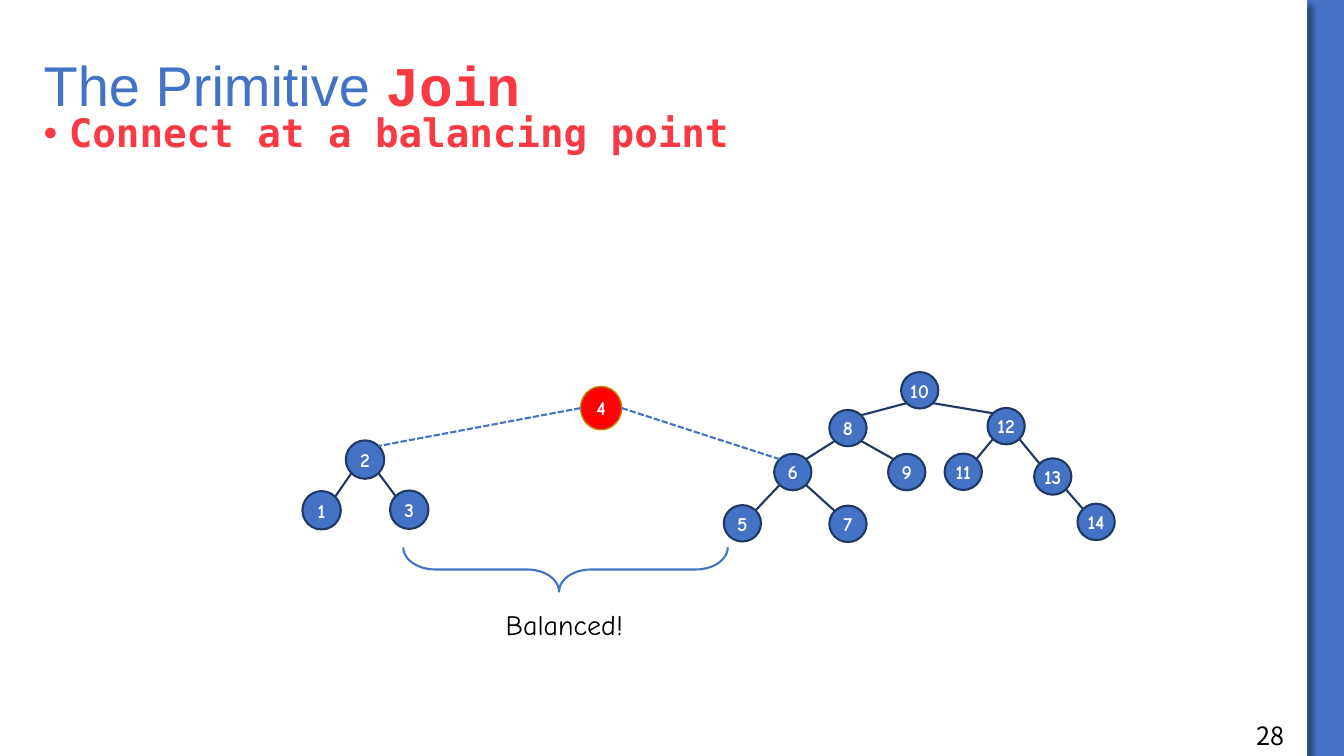
"""Build the slide on the Join primitive for balanced trees."""
from dataclasses import dataclass

from lxml import etree
from pptx import Presentation
from pptx.dml.color import RGBColor
from pptx.enum.dml import MSO_LINE
from pptx.enum.shapes import MSO_CONNECTOR, MSO_SHAPE
from pptx.enum.text import MSO_ANCHOR, MSO_AUTO_SIZE, PP_ALIGN
from pptx.oxml.ns import qn
from pptx.util import Pt

OVAL, RECT, BRACE = MSO_SHAPE.OVAL, MSO_SHAPE.RECTANGLE, MSO_SHAPE.RIGHT_BRACE
STRAIGHT, DASH = MSO_CONNECTOR.STRAIGHT, MSO_LINE.SQUARE_DOT
LEFT, CENTER = PP_ALIGN.LEFT, PP_ALIGN.CENTER
TOP, MIDDLE, FIXED = MSO_ANCHOR.TOP, MSO_ANCHOR.MIDDLE, MSO_AUTO_SIZE.NONE

BLUE = RGBColor(0x44, 0x72, 0xC4)
NAVY = RGBColor(0x20, 0x38, 0x64)
CORAL = RGBColor(0xF9, 0x39, 0x43)
RED = RGBColor(0xFF, 0, 0)
GOLD = RGBColor(0xBD, 0x8D, 0)
WHITE = RGBColor(0xFF, 0xFF, 0xFF)
BLACK = RGBColor(0, 0, 0)

HAND = "Comic Neue"
DIAG = 0.5 ** 0.5


@dataclass
class Node:
    key: int
    left: float
    top: float
    width: float = 26.6
    height: float = 26
    fill: RGBColor = BLUE
    line: RGBColor = NAVY
    weight: float = 1.5

    def spot(self, dx: float, dy: float) -> tuple[float, float]:
        return (self.left + self.width * (1 + dx) / 2,
                self.top + self.height * (1 + dy) / 2)


@dataclass
class Edge:
    upper: int
    lower: int
    new: bool = False


NODES = [
    Node(2, 247, 314.6, 27.4, 27.4), Node(3, 278.6, 350.4, 27.4, 27.4),
    Node(1, 216, 350.8, 27.4, 27.4), Node(10, 643.7, 265.8),
    Node(12, 705.4, 291.4), Node(8, 592.4, 292.8), Node(6, 553, 324.2),
    Node(7, 592.4, 361.2), Node(5, 517, 360.8), Node(13, 738.7, 327.4),
    Node(9, 634.4, 324.2), Node(4, 414.6, 276, 29.5, 31, RED, GOLD, 1),
    Node(11, 674.8, 324), Node(14, 769.7, 359.8),
]
EDGES = [
    Edge(2, 1), Edge(2, 3), Edge(10, 8), Edge(10, 12), Edge(8, 6), Edge(8, 9),
    Edge(6, 5), Edge(6, 7), Edge(12, 11), Edge(12, 13), Edge(13, 14),
    Edge(4, 2, True), Edge(4, 6, True),
]


def apply(target: object, look: dict) -> None:
    for name, value in look.items():
        setattr(target, name, value)


def place(shape: object, left: float, top: float, width: float, height: float) -> None:
    apply(shape, {"left": Pt(left), "top": Pt(top),
                  "width": Pt(width), "height": Pt(height)})


def write(para: object, text: str, face: str, size: float,
          color: RGBColor, bold: bool = False) -> None:
    run = para.add_run()
    run.text = text
    apply(run.font, {"name": face, "size": Pt(size), "bold": bold})
    run.font.color.rgb = color


def label(slide: object, text: str, face: str, size: float, *box: float) -> None:
    frame = slide.shapes.add_textbox(*map(Pt, box)).text_frame
    frame.word_wrap = True
    write(frame.paragraphs[0], text, face, size, BLACK)


def stroke(line: object, color: RGBColor, weight: float) -> None:
    line.color.rgb = color
    line.width = Pt(weight)


def panel(slide: object) -> None:
    sheet = slide.shapes.add_shape(RECT, 0, 0, Pt(933.8), Pt(540))
    sheet.fill.solid()
    sheet.fill.fore_color.rgb = WHITE
    sheet.line.fill.background()
    sheet.shadow.inherit = False
    list_ = sheet._element.spPr.find(qn("a:effectLst"))
    shade = etree.SubElement(list_, qn("a:outerShdw"), blurRad=str(Pt(4)),
                             dist=str(Pt(6)), dir="2700000", algn="tl")
    tint = etree.SubElement(shade, qn("a:srgbClr"), val="000000")
    etree.SubElement(tint, qn("a:alpha"), val="40000")
    tree = slide.shapes._spTree
    tree.remove(sheet._element)
    tree.insert(2, sheet._element)


def heads(slide: object) -> None:
    title, body = slide.shapes.title, slide.placeholders[1]
    place(title, 24, 36, 888, 54)
    place(body, 24, 77.8, 780, 123.8)
    for shape, anchor in ((title, MIDDLE), (body, TOP)):
        apply(shape.text_frame, {"word_wrap": True, "auto_size": FIXED,
                                 "vertical_anchor": anchor})
        apply(shape.text_frame.paragraphs[0],
              {"alignment": LEFT, "line_spacing": 0.9, "space_before": Pt(0)})
    para = title.text_frame.paragraphs[0]
    write(para, "The Primitive ", "Arial", 40, BLUE)
    write(para, "Join", "Courier New", 40, CORAL, True)
    para = body.text_frame.paragraphs[0]
    props = para._p.get_or_add_pPr()
    props.set("marL", str(Pt(18)))
    props.set("indent", str(Pt(-18)))
    write(para, "Connect at a balancing point", "DejaVu Sans Mono", 28, CORAL, True)


def draw_node(slide: object, node: Node) -> None:
    box = (node.left, node.top, node.width, node.height)
    ball = slide.shapes.add_shape(OVAL, *map(Pt, box))
    ball.shadow.inherit = False
    ball.fill.solid()
    ball.fill.fore_color.rgb = node.fill
    stroke(ball.line, node.line, node.weight)
    apply(ball.text_frame, {"word_wrap": False, "vertical_anchor": MIDDLE})
    para = ball.text_frame.paragraphs[0]
    para.alignment = CENTER
    write(para, str(node.key), HAND, 14, WHITE, True)


def draw_edge(slide: object, edge: Edge, nodes: dict[int, Node]) -> None:
    upper, lower = nodes[edge.upper], nodes[edge.lower]
    side = 1 if lower.left > upper.left else -1
    start = upper.spot(side, 0) if edge.new else upper.spot(side * DIAG, DIAG)
    end = lower.spot(-side * DIAG, -DIAG)
    link = slide.shapes.add_connector(STRAIGHT, *map(Pt, start + end))
    stroke(link.line, BLUE if edge.new else NAVY, 1.5)
    if edge.new:
        link.line.dash_style = DASH
    etree.SubElement(link._element.spPr, qn("a:effectLst"))


def draw_brace(slide: object) -> None:
    brace = slide.shapes.add_shape(BRACE, Pt(388.1), Pt(290.9), Pt(31.7), Pt(231.8))
    brace.rotation = 90
    brace.adjustments[0], brace.adjustments[1] = 0.72, 0.52
    brace.shadow.inherit = False
    brace.fill.background()
    stroke(brace.line, BLUE, 1.5)


def main() -> None:
    deck = Presentation()
    apply(deck, {"slide_width": Pt(960), "slide_height": Pt(540)})
    slide = deck.slides.add_slide(deck.slide_layouts[1])
    slide.background.fill.solid()
    slide.background.fill.fore_color.rgb = BLUE
    panel(slide)
    heads(slide)
    for node in NODES:
        draw_node(slide, node)
    nodes = {node.key: node for node in NODES}
    for edge in EDGES:
        draw_edge(slide, edge, nodes)
    label(slide, "Balanced!", HAND, 20, 354.2, 430.6, 155.5, 31.7)
    label(slide, "28", "Noto Sans CJK SC", 18, 890.6, 511.2, 61.9, 28.8)
    draw_brace(slide)
    deck.save("out.pptx")


if __name__ == "__main__":
    main()
